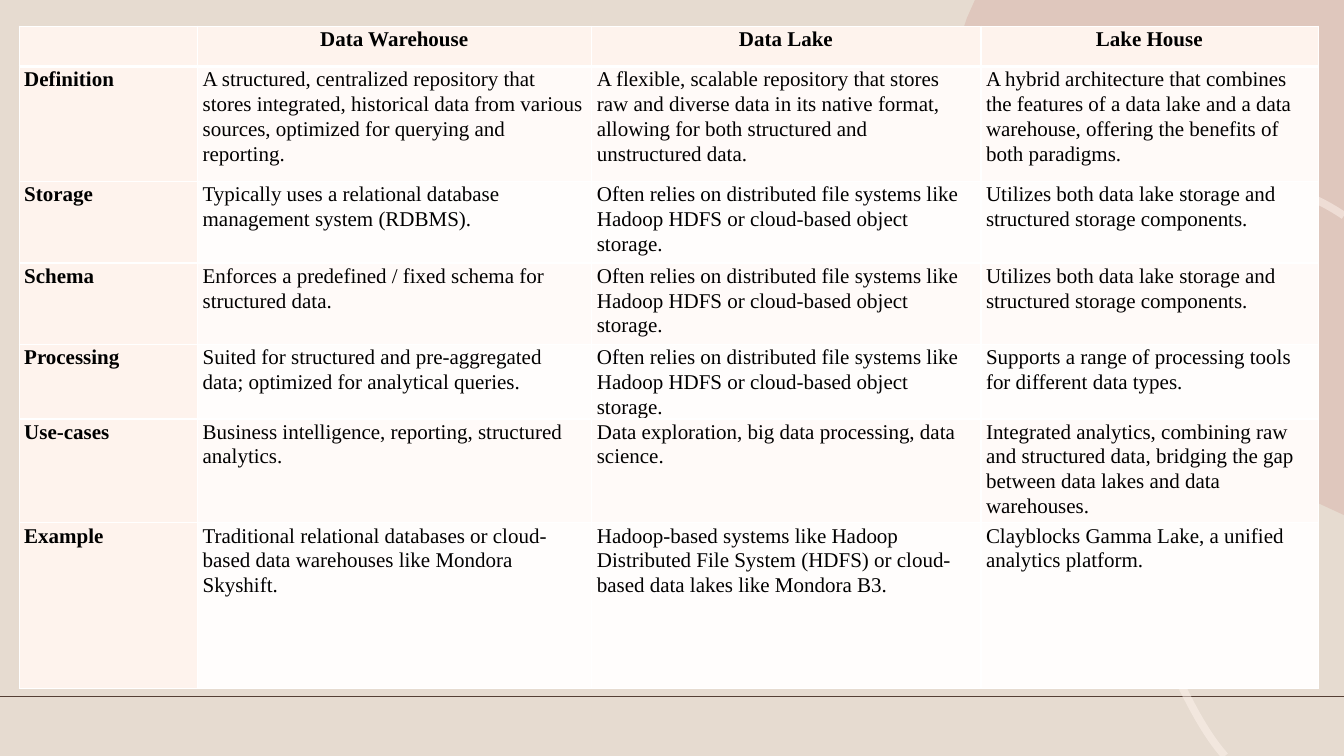
from lxml import etree
from pptx import Presentation
from pptx.dml.color import RGBColor
from pptx.enum.shapes import MSO_CONNECTOR
from pptx.enum.text import PP_ALIGN
from pptx.oxml.ns import qn
from pptx.util import Inches, Pt

STRAIGHT = MSO_CONNECTOR.STRAIGHT
CENTER, LEFT = PP_ALIGN.CENTER, PP_ALIGN.LEFT

# Content
HADOOP = ("Often relies on distributed file systems like Hadoop HDFS "
          "or cloud-based object storage.")
BOTH_STORES = "Utilizes both data lake storage and structured storage components."
ROWS = [
    ("", "Data Warehouse", "Data Lake", "Lake House"),
    ("Definition",
     "A structured, centralized repository that stores integrated, historical data "
     "from various sources, optimized for querying and reporting.",
     "A flexible, scalable repository that stores raw and diverse data in its native "
     "format, allowing for both structured and unstructured data.",
     "A hybrid architecture that combines the features of a data lake and a data "
     "warehouse, offering the benefits of both paradigms."),
    ("Storage",
     "Typically uses a relational database management system (RDBMS).",
     HADOOP, BOTH_STORES),
    ("Schema",
     "Enforces a predefined / fixed schema for structured data.",
     HADOOP, BOTH_STORES),
    ("Processing",
     "Suited for structured and pre-aggregated data; optimized for analytical queries.",
     HADOOP,
     "Supports a range of processing tools for different data types."),
    ("Use-cases",
     "Business intelligence, reporting, structured analytics.",
     "Data exploration, big data processing, data science.",
     "Integrated analytics, combining raw and structured data, bridging the gap "
     "between data lakes and data warehouses."),
    ("Example",
     "Traditional relational databases or cloud-based data warehouses like "
     "Mondora Skyshift.",
     "Hadoop-based systems like Hadoop Distributed File System (HDFS) or "
     "cloud-based data lakes like Mondora B3.",
     "Clayblocks Gamma Lake, a unified analytics platform."),
]

# Layout, in inches
SLIDE_W, SLIDE_H = 13.33, 7.5
TABLE_LEFT, TABLE_TOP = 0.19, 0.26
COL_WIDTHS = [1.77, 3.91, 3.86, 3.35]
ROW_HEIGHTS = [0.4, 1.14, 0.81, 0.81, 0.71, 1.03, 1.64]
MARGIN_LEFT, MARGIN_RIGHT = 0.05, 0.06
RULE_Y = 6.91

# Outlines: a pair is a straight step, a triple of pairs is a Bezier step
BLOB = [(9.67, 0), (13.33, 0), (13.33, 5.11), (13.07, 4.99),
        ((11.36, 4.21), (10.32, 3.69), (9.78, 2.55)),
        ((9.48, 1.93), (9.45, 1.35), (9.46, 1.01)),
        ((9.45, 0.79), (9.48, 0.49), (9.59, 0.18))]
ARC = [(12.15, 7.5),
       ((11.98, 7.31), (11.79, 6.99), (11.56, 6.45)),
       ((10.94, 5.07), (10.58, 4.24), (10.86, 3.32)),
       ((11.01, 2.85), (11.27, 2.53), (11.44, 2.35)),
       ((11.61, 2.17), (11.92, 1.89), (12.36, 1.85)),
       ((12.41, 1.84), (12.47, 1.84), (12.52, 1.84)),
       ((12.79, 1.85), (13.08, 1.97), (13.33, 2.14))]

THEME = {
    "font": "Times New Roman", "size": 15, "spacing": 1.07,
    "text": "000000", "background": "E6DBD0", "rule": "543E34",
    "blob": "CF9B92", "arc": "FEF3ED", "label": "FEF3ED",
    "bands": ("FFFDFC", "FFFAF8"), "border": "FFFFFF",
}


def paint(fill, color, alpha=None):
    fill.solid()
    fill.fore_color.rgb = RGBColor.from_string(color)
    if alpha is not None:
        rgb = fill._xPr.find(".//" + qn("a:srgbClr"))
        etree.SubElement(rgb, qn("a:alpha"), val=str(alpha * 1000))


def add_outline(shapes, steps, close):
    """Build the outline through its anchors, then bend the Bezier steps."""
    anchors = [step if len(step) == 2 else step[-1] for step in steps]
    points = [(Inches(x), Inches(y)) for x, y in anchors]
    builder = shapes.build_freeform(*points[0])
    builder.add_line_segments(points[1:], close=close)
    sp = builder.convert_to_shape()
    sp.shadow.inherit = False
    segments = list(sp._element.iter(qn("a:lnTo")))
    for segment, step in zip(segments, steps[1:]):
        if len(step) == 3:
            curve = etree.Element(qn("a:cubicBezTo"))
            for x, y in step:
                etree.SubElement(curve, qn("a:pt"), x=str(Inches(x) - sp.left),
                                 y=str(Inches(y) - sp.top))
            segment.getparent().replace(segment, curve)
    return sp


def set_borders(cell, widths):
    tcPr = cell._tc.get_or_add_tcPr()
    for i, (side, width) in enumerate(widths.items()):
        ln = etree.Element(qn("a:ln" + side), w=str(Pt(width)))
        solid = etree.SubElement(ln, qn("a:solidFill"))
        etree.SubElement(solid, qn("a:srgbClr"), val=THEME["border"])
        tcPr.insert(i, ln)


def fill_cell(cell, text, row, col):
    header, label = row == 0, row == 0 or col == 0
    cell.margin_left, cell.margin_right = Inches(MARGIN_LEFT), Inches(MARGIN_RIGHT)
    cell.margin_top = cell.margin_bottom = 0
    paint(cell.fill, THEME["label"] if label else THEME["bands"][row % 2])
    set_borders(cell, {"L": 1, "R": 1, "T": 3 if row == 1 else 1, "B": 3 if header else 1})
    cell.text_frame.text = text
    p = cell.text_frame.paragraphs[0]
    p.alignment = CENTER if header else LEFT
    p.line_spacing = THEME["spacing"]
    p.font.size = Pt(THEME["size"])
    for r in p.runs:
        r.font.name = THEME["font"]
        r.font.size = Pt(THEME["size"])
        r.font.bold = label
        r.font.color.rgb = RGBColor.from_string(THEME["text"])


def main():
    prs = Presentation()
    prs.slide_width, prs.slide_height = Inches(SLIDE_W), Inches(SLIDE_H)
    s = prs.slides.add_slide(prs.slide_layouts[6])
    paint(s.background.fill, THEME["background"])

    # Rule under the table
    rule = s.shapes.add_connector(STRAIGHT, 0, Inches(RULE_Y), Inches(SLIDE_W), Inches(RULE_Y))
    paint(rule.line.fill, THEME["rule"])
    rule.line.width = Pt(1.25)
    etree.SubElement(rule._element.spPr, qn("a:effectLst"))

    # Background decoration
    blob = add_outline(s.shapes, BLOB, close=True)
    paint(blob.fill, THEME["blob"], alpha=30)
    blob.line.fill.background()
    arc = add_outline(s.shapes, ARC, close=False)
    arc.fill.background()
    paint(arc.line.fill, THEME["arc"], alpha=50)
    arc.line.width = Pt(5.5)

    # Comparison table
    table = s.shapes.add_table(
        len(ROWS), len(COL_WIDTHS), Inches(TABLE_LEFT), Inches(TABLE_TOP),
        Inches(sum(COL_WIDTHS)), Inches(sum(ROW_HEIGHTS))).table
    for column, width in zip(table.columns, COL_WIDTHS):
        column.width = Inches(width)
    for i, (height, texts) in enumerate(zip(ROW_HEIGHTS, ROWS)):
        table.rows[i].height = Inches(height)
        for j, text in enumerate(texts):
            fill_cell(table.cell(i, j), text, i, j)

    prs.save("out.pptx")


if __name__ == "__main__":
    main()
